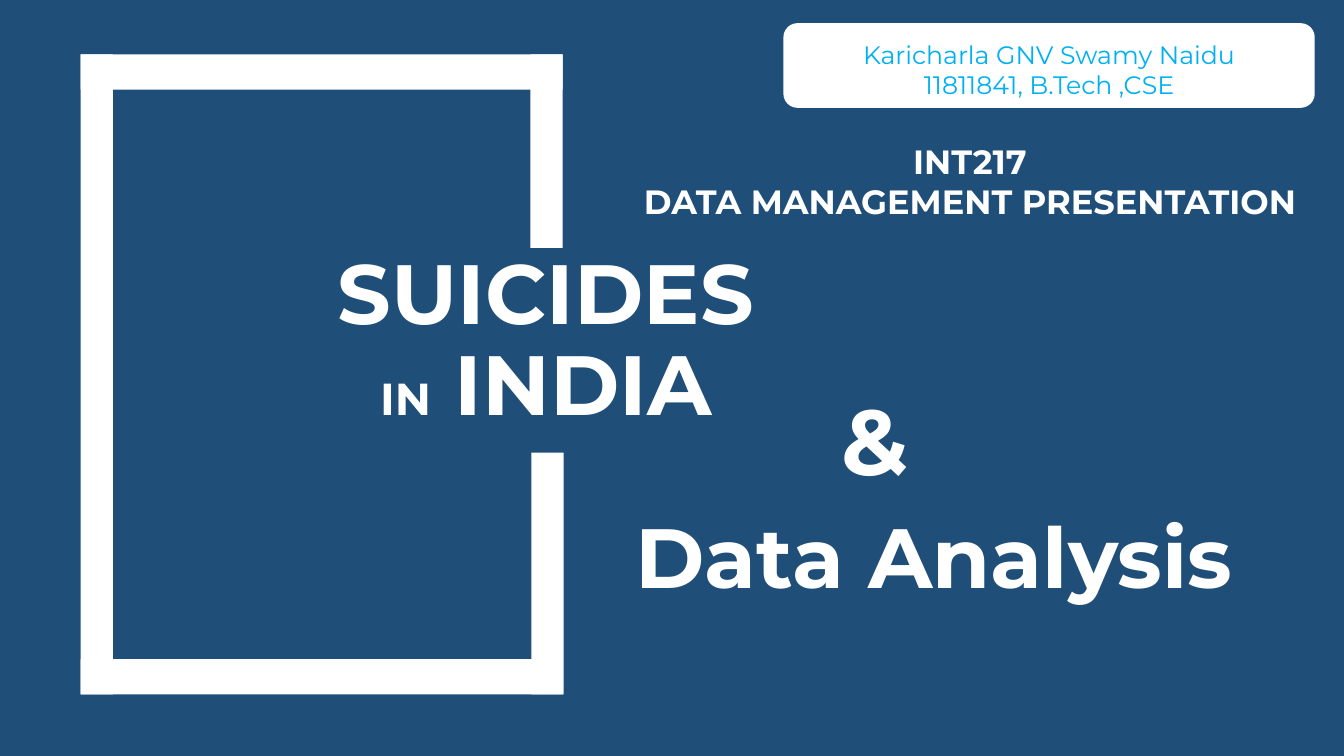
from dataclasses import dataclass

from pptx import Presentation
from pptx.dml.color import RGBColor
from pptx.enum.shapes import MSO_SHAPE
from pptx.enum.text import MSO_ANCHOR, PP_ALIGN
from pptx.util import Inches, Pt


@dataclass(frozen=True)
class Theme:
    font: str = "Montserrat"
    navy: RGBColor = RGBColor(0x1F, 0x4E, 0x79)
    white: RGBColor = RGBColor(0xFF, 0xFF, 0xFF)
    sky: RGBColor = RGBColor(0x00, 0xB0, 0xF0)
    small: int = 18
    course: int = 24
    minor: int = 32
    title: int = 60
    sign: int = 66


THEME = Theme()


def style(run, size, color, bold):
    run.font.name = THEME.font
    run.font.size = Pt(size)
    run.font.color.rgb = color
    run.font.bold = bold


def write(frame, lines, size, color=THEME.white, bold=True, align=PP_ALIGN.LEFT):
    frame.text = "\n".join(lines)
    for para in frame.paragraphs:
        para.alignment = align
        for run in para.runs:
            style(run, size, color, bold)


def add_block(slide, box, kind=MSO_SHAPE.RECTANGLE):
    block = slide.shapes.add_shape(kind, *map(Inches, box))
    block.shadow.inherit = False
    block.fill.solid()
    block.fill.fore_color.rgb = THEME.white
    block.line.fill.background()
    return block


def add_text(slide, box, lines, size, wrap=True, align=PP_ALIGN.LEFT):
    frame = slide.shapes.add_textbox(*map(Inches, box)).text_frame
    frame.word_wrap = wrap
    write(frame, lines, size, align=align)
    return frame


def add_title(slide):
    box = (2.35, 2.87, 6.13, 1.48)
    frame = add_text(slide, box, ["SUICIDES\v"], THEME.title, align=PP_ALIGN.CENTER)
    frame.vertical_anchor = MSO_ANCHOR.BOTTOM
    para = frame.paragraphs[0]
    para.line_spacing = 0.9
    for text, size in (("IN", THEME.minor), (" INDIA", THEME.title)):
        run = para.add_run()
        run.text = text
        style(run, size, THEME.white, True)


def add_frame(slide):
    left, top, thick, bar = 0.8, 0.54, 0.32, 0.35
    width, height = 4.78, 6.35
    right, base = left + width - thick, top + height
    add_block(slide, (right, top, thick, 1.92))
    add_block(slide, (left, top, width, bar))
    add_block(slide, (left, top, thick, height))
    add_block(slide, (left, base - bar, width, bar))
    add_block(slide, (right + 0.01, 4.49, thick, base - 4.49))


def add_badge(slide):
    badge = add_block(slide, (7.77, 0.23, 5.27, 0.84), MSO_SHAPE.ROUNDED_RECTANGLE)
    frame = badge.text_frame
    frame.word_wrap = True
    frame.vertical_anchor = MSO_ANCHOR.MIDDLE
    frame.margin_top = Inches(0.12)
    lines = ["Karicharla GNV Swamy Naidu", "11811841, B.Tech ,CSE"]
    write(frame, lines, THEME.small, THEME.sky, False, PP_ALIGN.CENTER)


def main():
    deck = Presentation()
    deck.slide_width, deck.slide_height = Inches(13.33), Inches(7.5)
    slide = deck.slides.add_slide(deck.slide_layouts[6])
    slide.background.fill.solid()
    slide.background.fill.fore_color.rgb = THEME.navy

    add_title(slide)
    add_frame(slide)
    add_text(slide, (6.2, 4.96, 6.83, 1.11), ["Data Analysis"], THEME.title)
    add_badge(slide)
    course = ["INT217", "DATA MANAGEMENT PRESENTATION"]
    add_text(slide, (6.11, 1.35, 7.02, 0.91), course, THEME.course, False, PP_ALIGN.CENTER)
    add_text(slide, (8.25, 3.75, 1.78, 1.21), ["&"], THEME.sign)
    deck.save("out.pptx")


if __name__ == "__main__":
    main()
